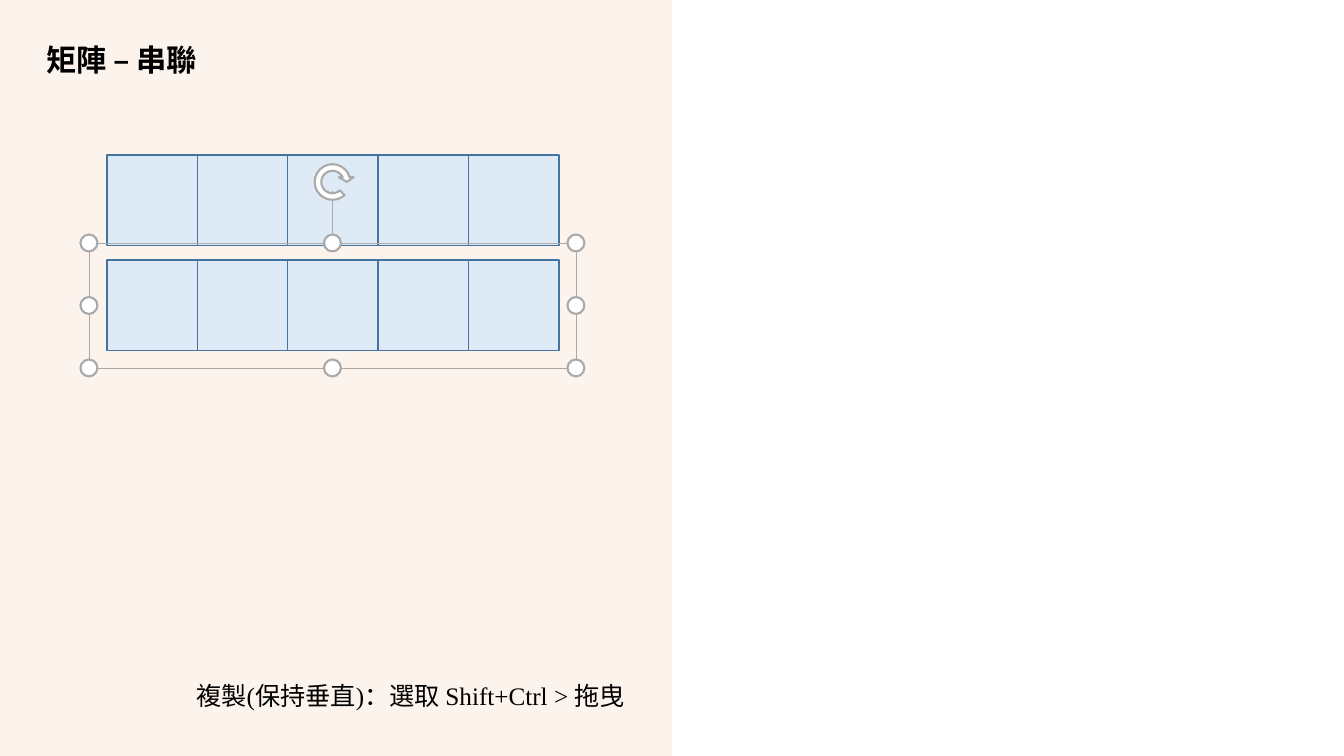
from dataclasses import dataclass
from itertools import product

from lxml.etree import SubElement
from pptx import Presentation
from pptx.dml.color import RGBColor
from pptx.enum.shapes import MSO_CONNECTOR, MSO_SHAPE
from pptx.enum.text import MSO_ANCHOR, MSO_AUTO_SIZE, PP_ALIGN
from pptx.oxml.ns import qn
from pptx.util import Pt

PAGE_WIDTH, PAGE_HEIGHT = 1344, 756
EMU_PER_PX = 12192000 / PAGE_WIDTH


def px(length):
    return round(length * EMU_PER_PX)


@dataclass(frozen=True)
class Theme:
    panel: str = "F4B183"
    guide: str = "FBE5D6"
    cell: str = "DEEBF7"
    cell_edge: str = "43739E"
    handle: str = "FFFFFF"
    selection: str = "A9A9A9"
    text: str = "000000"
    title_size: float = 21.6
    note_size: float = 18
    title_font: str = "Noto Sans CJK SC"
    note_font: str = "Times New Roman"
    east_asian_font: str = "Noto Sans CJK SC"


def set_attributes(target, values):
    for name, value in values.items():
        setattr(target, name, value)


def set_opacity(properties, percent):
    for color in properties.iter(qn("a:srgbClr")):
        SubElement(color, qn("a:alpha"), val=str(percent * 1000))


class SlideBuilder:
    def __init__(self, deck, theme):
        self.theme = theme
        self.page = deck.slides.add_slide(deck.slide_layouts[5])

    def group(self):
        return self.page.shapes.add_group_shape().shapes

    def stroke(self, item, color, width):
        item.line.color.rgb = RGBColor.from_string(color)
        item.line.width = Pt(width)

    def shape(self, kind, box, fill=None, edge=None, width=1, parent=None):
        shapes = self.page.shapes if parent is None else parent
        item = shapes.add_shape(kind, *map(px, box))
        item.shadow.inherit = False
        if fill:
            item.fill.solid()
            item.fill.fore_color.rgb = RGBColor.from_string(fill)
        else:
            item.fill.background()
        if edge:
            self.stroke(item, edge, width)
        else:
            item.line.fill.background()
        return item

    def line(self, ends, color, width, parent=None):
        shapes = self.page.shapes if parent is None else parent
        item = shapes.add_connector(MSO_CONNECTOR.STRAIGHT, *map(px, ends))
        self.stroke(item, color, width)
        SubElement(item._element.spPr, qn("a:effectLst"))
        return item

    def set_text(self, item, text, font, frame_format, para_format):
        frame = item.text_frame
        set_attributes(frame, {"auto_size": MSO_AUTO_SIZE.NONE,
                               "vertical_anchor": MSO_ANCHOR.MIDDLE, **frame_format})
        para = frame.paragraphs[0]
        set_attributes(para, para_format)
        span = para.add_run()
        span.text = text
        set_attributes(span.font, font)
        span.font.color.rgb = RGBColor.from_string(self.theme.text)
        SubElement(span.font._element, qn("a:ea"), typeface=self.theme.east_asian_font)

    def title(self, text, box):
        item = self.page.shapes.title
        set_attributes(item, dict(zip(("left", "top", "width", "height"), map(px, box))))
        font = {"name": self.theme.title_font, "size": Pt(self.theme.title_size), "bold": True}
        self.set_text(item, text, font, {"word_wrap": False},
                      {"alignment": PP_ALIGN.LEFT, "line_spacing": 0.9})

    def note(self, text, box):
        item = self.page.shapes.add_textbox(*map(px, box))
        font = {"name": self.theme.note_font, "size": Pt(self.theme.note_size)}
        self.set_text(item, text, font, {"word_wrap": True}, {"alignment": PP_ALIGN.RIGHT})

    def backdrop(self):
        """Tinted left half with its edge line, placed behind the title."""
        middle = PAGE_WIDTH // 2
        panel = self.shape(MSO_SHAPE.RECTANGLE, (0, 0, middle, PAGE_HEIGHT), self.theme.panel)
        set_opacity(panel._element.spPr, 14)
        edge = self.line((middle, PAGE_HEIGHT, middle, 0), self.theme.guide, 0.25)
        set_opacity(edge._element.spPr, 50)
        for item in (panel, edge):
            self.page.shapes.title._element.addprevious(item._element)

    def cell_row(self, left, top, width, count):
        row = self.group()
        side = width / count
        for column in range(count):
            self.shape(MSO_SHAPE.RECTANGLE, (left + column * side, top, side, side),
                       self.theme.cell, self.theme.cell_edge, 1, row)

    def selection(self, left, top, width, height, handle=17):
        """Selection frame with eight handles and a rotation arrow."""
        parts, theme = self.group(), self.theme
        self.shape(MSO_SHAPE.RECTANGLE, (left, top, width, height),
                   None, theme.selection, 0.5, parts)
        for across, down in product((0, 0.5, 1), repeat=2):
            if (across, down) != (0.5, 0.5):
                corner = (left + across * width - handle / 2, top + down * height - handle / 2)
                self.shape(MSO_SHAPE.OVAL, (*corner, handle, handle),
                           theme.handle, theme.selection, 1.5, parts)
        center = left + width / 2
        self.line((center, top - handle / 2, center, top - 52), theme.selection, 0.5, parts)
        arrow = self.shape(MSO_SHAPE.CIRCULAR_ARROW, (center - 22, top - 83, 44, 44),
                           theme.handle, theme.selection, 1.5, parts)
        for index, value in enumerate((0.15, 11.19, 204.55, 28.68, 0.17)):
            arrow.adjustments[index] = value


def main():
    deck = Presentation()
    set_attributes(deck, {"slide_width": px(PAGE_WIDTH), "slide_height": px(PAGE_HEIGHT)})
    slide = SlideBuilder(deck, Theme())
    slide.backdrop()
    slide.title("矩陣 – 串聯", (36, 40, 600, 44))
    for top in (155, 260):
        slide.cell_row(107, top, 452, 5)
    slide.note("複製(保持垂直)：選取 Shift+Ctrl > 拖曳", (120, 667, 515, 56))
    slide.selection(89, 243, 487, 125)
    deck.save("out.pptx")


if __name__ == "__main__":
    main()
